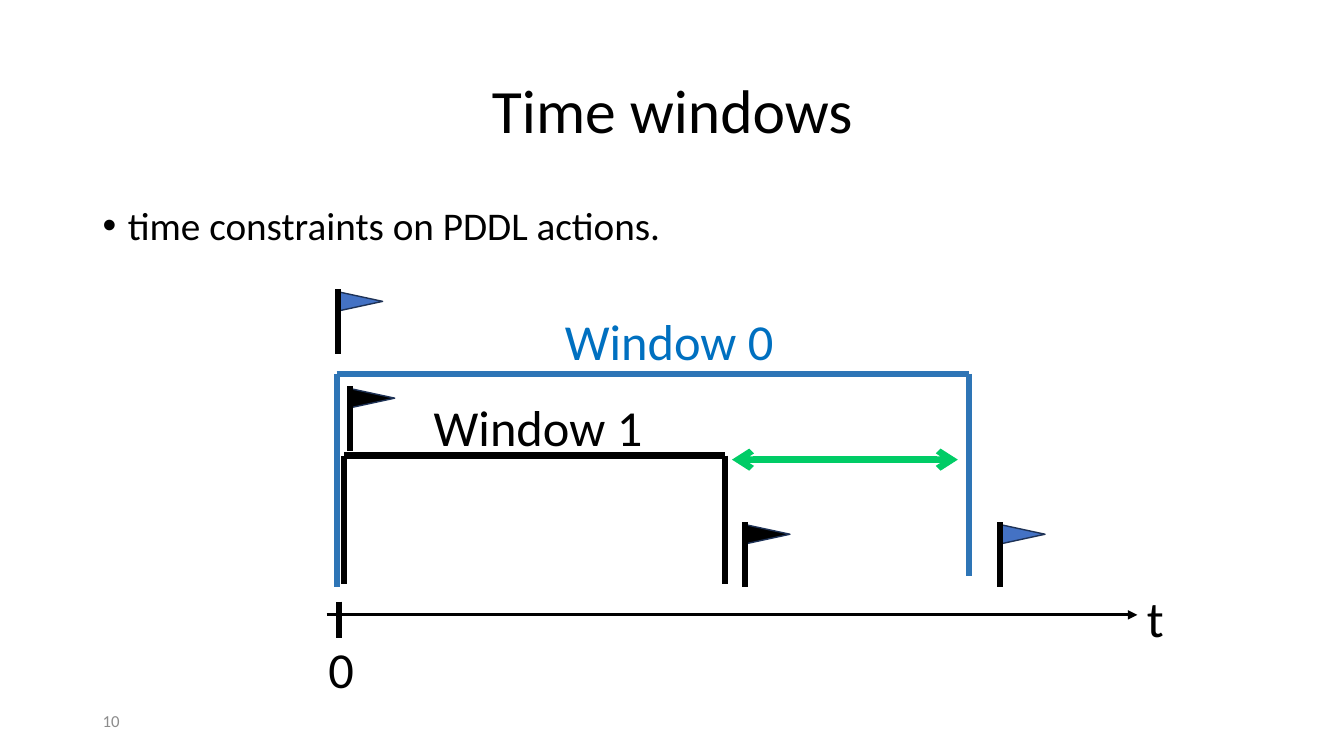
from lxml.etree import SubElement
from pptx import Presentation
from pptx.dml.color import RGBColor
from pptx.enum.shapes import MSO_CONNECTOR, MSO_SHAPE
from pptx.enum.text import MSO_ANCHOR, PP_ALIGN
from pptx.oxml.ns import qn
from pptx.util import Inches, Pt

BLACK = "000000"
BLUE = "2E75B6"
FLAG_BLUE = "4472C4"


def color(hex_value):
    return RGBColor.from_string(hex_value)


def add_text(s, text, left, top, width, height, size, hex_value=BLACK,
             align=PP_ALIGN.RIGHT, anchor=MSO_ANCHOR.TOP, spacing=1.07):
    tf = s.shapes.add_textbox(Inches(left), Inches(top),
                              Inches(width), Inches(height)).text_frame
    tf.word_wrap = True
    tf.vertical_anchor = anchor
    p = tf.paragraphs[0]
    p.alignment = align
    p.line_spacing = spacing
    r = p.add_run()
    r.text = text
    r.font.name = "Calibri"
    r.font.size = Pt(size)
    r.font.color.rgb = color(hex_value)
    return p


def add_bullet(p, indent):
    pPr = p._p.get_or_add_pPr()
    pPr.set("marL", str(Inches(indent)))
    pPr.set("indent", str(-Inches(indent)))
    SubElement(pPr, qn("a:buFont"), typeface="Arial")
    SubElement(pPr, qn("a:buChar"), char="•")


def add_line(s, x1, y1, x2, y2, hex_value=BLACK, width=4.5, head=None, tail=None):
    line = s.shapes.add_connector(MSO_CONNECTOR.STRAIGHT, Inches(x1), Inches(y1),
                                  Inches(x2), Inches(y2))
    line.line.color.rgb = color(hex_value)
    line.line.width = Pt(width)
    ln = line.line._get_or_add_ln()
    for tag, kind in (("a:headEnd", head), ("a:tailEnd", tail)):
        if kind:
            SubElement(ln, qn(tag), type=kind)
    SubElement(line._element.spPr, qn("a:effectLst"))


def add_window(s, x1, x2, top, left_bottom, right_bottom, hex_value):
    add_line(s, x1, top, x2, top, hex_value)
    add_line(s, x1, top, x1, left_bottom, hex_value)
    add_line(s, x2, top, x2, right_bottom, hex_value)


def add_flag(s, x, y, hex_value):
    sp = s.shapes.add_shape(MSO_SHAPE.FLOWCHART_EXTRACT, Inches(x + 0.13),
                            Inches(y - 0.1), Inches(0.19), Inches(0.44))
    sp.rotation = 90
    sp.shadow.inherit = False
    sp.fill.solid()
    sp.fill.fore_color.rgb = color(hex_value)
    sp.line.color.rgb = color("1E3256")
    sp.line.width = Pt(1)
    add_line(s, x, y, x, y + 0.64)


def main():
    prs = Presentation()
    prs.slide_width = Inches(13.33)
    prs.slide_height = Inches(7.5)
    s = prs.slides.add_slide(prs.slide_layouts[6])

    add_text(s, "Time windows", 0.92, 0.4, 11.5, 1.45, 44,
             align=PP_ALIGN.CENTER, anchor=MSO_ANCHOR.MIDDLE, spacing=0.9)
    p = add_text(s, "time constraints on PDDL actions.", 0.92, 2, 11.5, 4.76, 28,
                 align=PP_ALIGN.LEFT, spacing=0.9)
    add_bullet(p, 0.25)

    add_window(s, 3.34, 9.61, 3.71, 5.82, 5.71, BLUE)
    add_window(s, 3.41, 7.19, 4.52, 5.79, 5.79, BLACK)
    add_text(s, "Window 0", 5.39, 2.99, 2.38, 1.54, 36, "0070C0")
    add_text(s, "Window 1", 3.7, 3.84, 2.77, 1.54, 36)
    add_line(s, 7.26, 4.56, 9.5, 4.56, "00CC66", head="arrow", tail="arrow")

    add_line(s, 3.24, 6.1, 11.28, 6.1, width=2.25, tail="triangle")
    add_line(s, 3.36, 5.97, 3.36, 6.33)
    add_text(s, "t", 11.24, 5.73, 0.4, 0.6, 36)
    add_text(s, "0", 3.16, 6.24, 0.4, 0.6, 36)
    add_text(s, "10", 0.92, 6.95, 3, 0.4, 12, "8C8C8C",
             PP_ALIGN.LEFT, MSO_ANCHOR.MIDDLE, 1.0)

    for x, y, hex_value in ((3.35, 2.87, FLAG_BLUE), (9.92, 5.18, FLAG_BLUE),
                            (7.39, 5.18, BLACK), (3.47, 3.83, BLACK)):
        add_flag(s, x, y, hex_value)

    prs.save("out.pptx")


if __name__ == "__main__":
    main()
